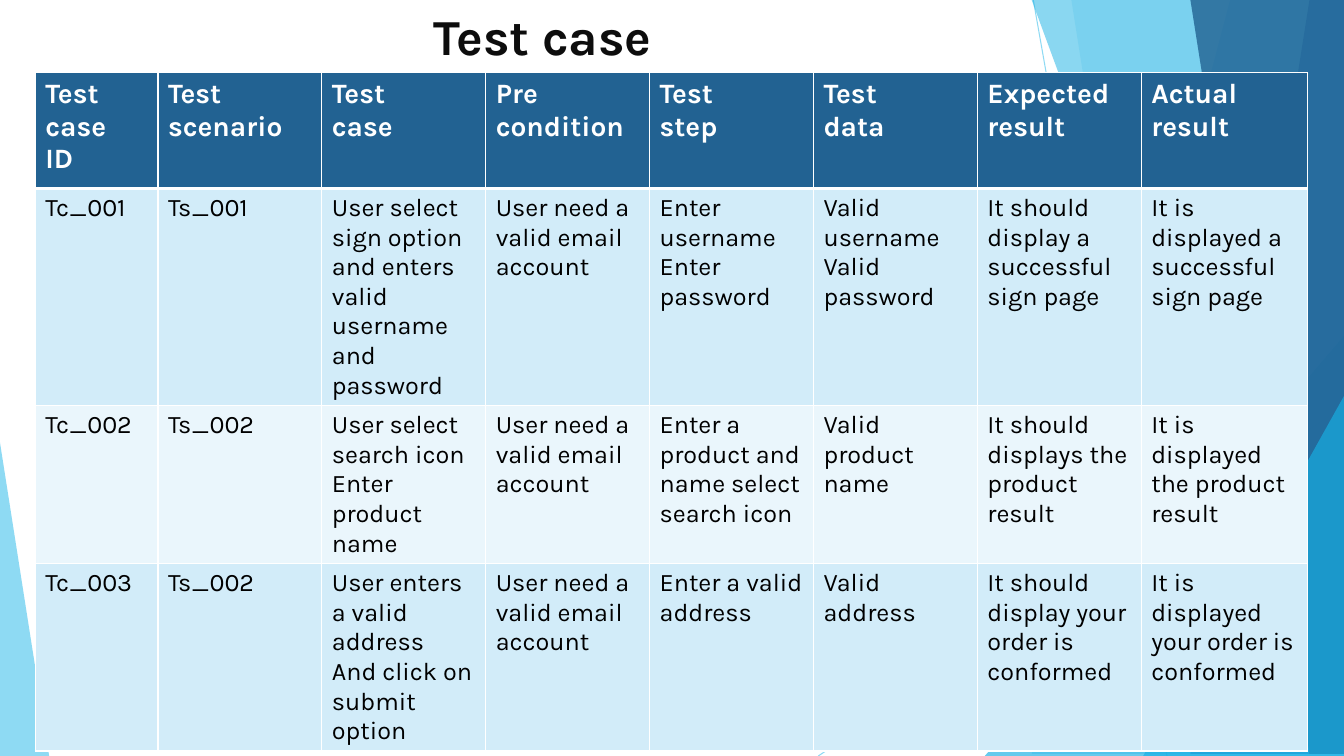
"""Builds a slide with a table of test cases over a faceted blue background."""
from pptx import Presentation
from pptx import util as u
from pptx.dml.color import RGBColor
from pptx.enum import shapes, text
from pptx.oxml import parse_xml
from pptx.oxml.ns import nsdecls, qn
from lxml import etree

COLORS = {
    "sky": "5FCBEF", "azure": "17B0E4", "blue": "2E83C3", "navy": "226292",
    "band": "D2ECF9", "pale": "EAF6FC", "white": "FFFFFF", "black": "000000", "ink": "0D0D0D",
}
FONT = "Karla"
WIDTH, HEIGHT = 33.87, 19.05

TITLE = "Test case"
HEADINGS = ["Test case\nID", "Test scenario", "Test\ncase", "Pre\ncondition",
            "Test\nstep", "Test\ndata", "Expected\nresult", "Actual\nresult"]
CASES = [
    ["Tc_001", "Ts_001", "User select sign option and enters valid username and password",
     "User need a valid email account", "Enter username\nEnter\npassword",
     "Valid username\nValid password", "It should display a successful sign page",
     "It is displayed a successful sign page"],
    ["Tc_002", "Ts_002", "User select search icon\nEnter product name",
     "User need a valid email account", "Enter a product and name select search icon",
     "Valid product name", "It should displays the product result",
     "It is displayed the product result"],
    ["Tc_003", "Ts_002", "User enters a valid address\nAnd click on submit option",
     "User need a valid email account", "Enter a valid address", "Valid address",
     "It should display your order is conformed", "It is displayed your order is conformed"],
]
COLUMN_WIDTHS = [3.09] + [4.13] * 6 + [4.2]
ROW_HEIGHTS = [2.92, 4.39, 3, 3.68]

RAYS = [(26.04, 0, 29.41, HEIGHT), (WIDTH, 10.24, 20.62, HEIGHT)]
# facet: top-left x, bottom-left x; wedge: left, top, width, height, apex
BACKDROP = [
    ("facet", (31.19, 25.5), "sky", 36),
    ("facet", (26.67, 30.05), "sky", 20),
    ("wedge", (24.82, 8.46, 9.05, 10.59, 1), "azure", 66),
    ("facet", (25.93, 32.79), "azure", 50),
    ("facet", (33.1, 30.28), "blue", 70),
    ("facet", (30.38, 33.48), "navy", 80),
    ("wedge", (28.81, 9.98, 5.06, 9.07, 1), "azure", 66),
    ("wedge", (0, 11.15, 1.24, 7.9, 0), "sky", 70),
]


def rgb(name):
    return RGBColor.from_string(COLORS[name])


def set_alpha(owner, percent):
    color = next(owner.iter(qn("a:srgbClr")))
    etree.SubElement(color, qn("a:alpha")).set("val", str(percent * 1000))


def add_ray(slide, ends):
    ray = slide.shapes.add_connector(shapes.MSO_CONNECTOR.STRAIGHT, *map(u.Cm, ends))
    ray.line.color.rgb = rgb("sky")
    ray.line.width = u.Pt(0.75)
    properties = ray._element.spPr
    set_alpha(properties, 70)
    etree.SubElement(properties, qn("a:effectLst"))


def add_backdrop_part(slide, kind, geometry, color, opacity):
    if kind == "facet":
        top_x, bottom_x = geometry
        outline = slide.shapes.build_freeform(top_x, 0, scale=u.Cm(1))
        outline.add_line_segments([(WIDTH, 0), (WIDTH, HEIGHT), (bottom_x, HEIGHT)])
        part = outline.convert_to_shape()
    else:
        *box, apex = geometry
        part = slide.shapes.add_shape(shapes.MSO_SHAPE.ISOSCELES_TRIANGLE, *map(u.Cm, box))
        part.adjustments[0] = apex
    part.shadow.inherit = False
    part.line.fill.background()
    part.fill.solid()
    part.fill.fore_color.rgb = rgb(color)
    set_alpha(part._element.spPr, opacity)


def style_font(paragraph, size, color, bold):
    font = paragraph.font
    font.name, font.size, font.bold = FONT, u.Pt(size), bold
    font.color.rgb = rgb(color)


def add_title(slide):
    title = slide.shapes.title
    title.left, title.top, title.width, title.height = map(u.Cm, (1.73, 0, 29.82, 3))
    frame = title.text_frame
    frame.text = TITLE
    frame.auto_size = text.MSO_AUTO_SIZE.NONE
    frame.vertical_anchor = text.MSO_ANCHOR.TOP
    frame.margin_left = u.Cm(9.2)
    heading = frame.paragraphs[0]
    heading.alignment = text.PP_ALIGN.LEFT
    style_font(heading, 36, "ink", True)
    slide.shapes._spTree.append(title._element)


def add_borders(cell, top, bottom):
    for side, points in (("L", 1), ("R", 1), ("T", top), ("B", bottom)):
        cell._tc.get_or_add_tcPr().append(parse_xml(
            f'<a:ln{side} {nsdecls("a")} w="{u.Pt(points)}"><a:solidFill>'
            f'<a:srgbClr val="{COLORS["white"]}"/></a:solidFill></a:ln{side}>'))


def add_case_table(slide):
    rows = [HEADINGS] + CASES
    size = map(u.Cm, (0.89, 1.83, sum(COLUMN_WIDTHS), sum(ROW_HEIGHTS)))
    table = slide.shapes.add_table(len(rows), len(HEADINGS), *size).table
    for column, width in zip(table.columns, COLUMN_WIDTHS):
        column.width = u.Cm(width)
    for r, (row, height) in enumerate(zip(rows, ROW_HEIGHTS)):
        table.rows[r].height = u.Cm(height)
        fill = "navy" if r == 0 else "band" if r % 2 else "pale"
        style = (20, "white", True) if r == 0 else (18, "black", False)
        for c, wording in enumerate(row):
            cell = table.cell(r, c)
            cell.text = wording
            add_borders(cell, top=3 if r == 1 else 1, bottom=3 if r == 0 else 1)
            cell.fill.solid()
            cell.fill.fore_color.rgb = rgb(fill)
            for paragraph in cell.text_frame.paragraphs:
                style_font(paragraph, *style)


def main():
    deck = Presentation()
    deck.slide_width, deck.slide_height = u.Cm(WIDTH), u.Cm(HEIGHT)
    slide = deck.slides.add_slide(deck.slide_layouts[5])
    for ends in RAYS:
        add_ray(slide, ends)
    for part in BACKDROP:
        add_backdrop_part(slide, *part)
    add_title(slide)
    add_case_table(slide)
    deck.save("out.pptx")


if __name__ == "__main__":
    main()
